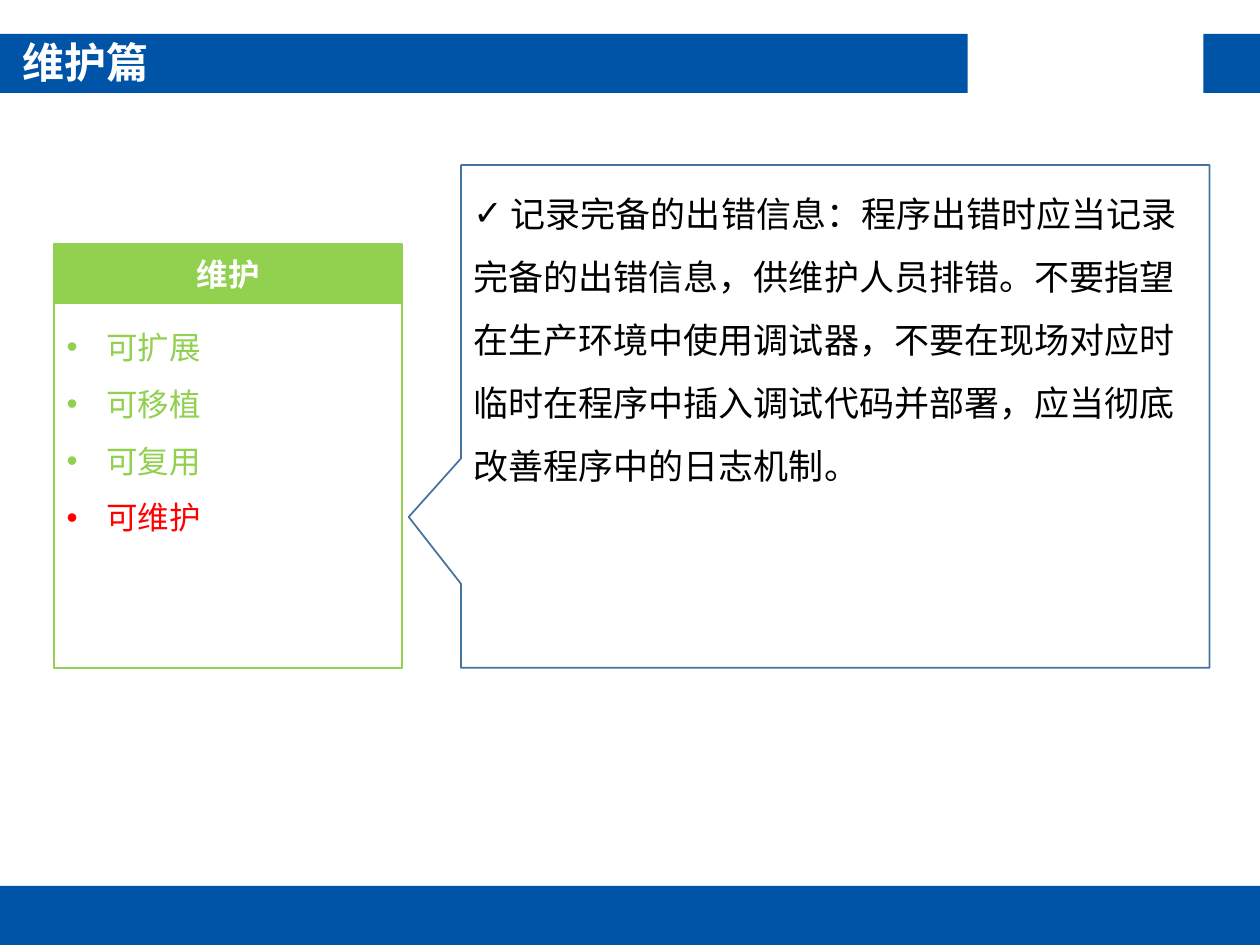
from pptx import Presentation
from pptx.dml.color import RGBColor
from pptx.enum.shapes import MSO_SHAPE as Shape
from pptx.enum.text import MSO_ANCHOR as Anchor, MSO_AUTO_SIZE as AutoSize, PP_ALIGN as Align
from pptx.oxml.ns import qn
from pptx.util import Pt
from lxml.etree import SubElement

THEME = {
    "font": "Noto Sans CJK SC",
    "blue": "0054A7", "green": "92D050", "red": "FF0000",
    "outline": "43739E", "white": "FFFFFF", "black": "000000",
    "title": 24, "body": 20, "label": 18,
}

TITLE = "维护篇"
HEADING = "维护"
QUALITIES = [("可扩展", "green"), ("可移植", "green"), ("可复用", "green"), ("可维护", "red")]
ADVICE = (
    " 记录完备的出错信息：程序出错时应当记录完备的出错信息，供维护人员排错。"
    "不要指望在生产环境中使用调试器，不要在现场对应时临时在程序中插入调试代码并部署，"
    "应当彻底改善程序中的日志机制。"
)

WIDTH, HEIGHT = 720, 540
BAR = 33.8
BANDS = [(-0.7, 19.4, 553.7), (687.6, 19.4, 32.4), (-0.7, HEIGHT - BAR, 720.7)]
CARD_LEFT, CARD_TOP, CARD_WIDTH, CARD_BOTTOM = 31, 139.4, 198.8, 381.6
CALLOUT_LEFT, CALLOUT_TOP, CALLOUT_WIDTH = 263.5, 94.3, 427.7
INDENT = 22.5


def color(name):
    return RGBColor.from_string(THEME[name])


def add_box(page, kind, left, top, width, height, fill=None, line=None):
    box = page.shapes.add_shape(kind, Pt(left), Pt(top), Pt(width), Pt(height))
    box.shadow.inherit = False
    if fill:
        box.fill.solid()
        box.fill.fore_color.rgb = color(fill)
    else:
        box.fill.background()
    if line:
        box.line.color.rgb = color(line)
        box.line.width = Pt(1)
    else:
        box.line.fill.background()
    box.text_frame.word_wrap = True
    return box


def style(para, size, tone, bold=False, align=Align.LEFT):
    para.alignment = align
    for span in para.runs:
        span.font.name = THEME["font"]
        span.font.size = Pt(THEME[size])
        span.font.bold = bold
        span.font.color.rgb = color(tone)
        SubElement(span.font._element, qn("a:ea"), typeface=THEME["font"])


def add_bullet(para, mark, indent=0):
    para.line_spacing = 1.5
    props = para._p.get_or_add_pPr()
    props.set("marL", str(Pt(indent)))
    props.set("indent", str(-Pt(indent)))
    SubElement(props, qn("a:buFont"), typeface="Arial")
    SubElement(props, qn("a:buChar"), char=mark)


def add_title(page):
    box = page.shapes.add_textbox(Pt(5.8), Pt(17.3), Pt(547.2), Pt(36))
    frame = box.text_frame
    frame.word_wrap = True
    frame.auto_size = AutoSize.SHAPE_TO_FIT_TEXT
    frame.text = TITLE
    para = frame.paragraphs[0]
    para.space_before = Pt(9)
    style(para, "title", "white", True, Align.JUSTIFY)


def add_callout(page):
    box = add_box(page, Shape.RECTANGULAR_CALLOUT, CALLOUT_LEFT, CALLOUT_TOP,
                  CALLOUT_WIDTH, CARD_BOTTOM - CALLOUT_TOP, "white", "outline")
    box.adjustments[0], box.adjustments[1] = -0.57, 0.2
    frame = box.text_frame
    frame.vertical_anchor = Anchor.TOP
    frame.text = ADVICE
    para = frame.paragraphs[0]
    style(para, "body", "black")
    add_bullet(para, "✓")


def add_card(page):
    header = add_box(page, Shape.RECTANGLE, CARD_LEFT, CARD_TOP, CARD_WIDTH, BAR, "green", "green")
    header.text_frame.vertical_anchor = Anchor.MIDDLE
    header.text_frame.text = HEADING
    style(header.text_frame.paragraphs[0], "label", "white", True, Align.CENTER)

    top = CARD_TOP + BAR
    panel = add_box(page, Shape.RECTANGLE, CARD_LEFT, top, CARD_WIDTH, CARD_BOTTOM - top, line="green")
    frame = panel.text_frame
    frame.vertical_anchor = Anchor.TOP
    frame.text = "\n".join(name for name, _ in QUALITIES)
    for para, (_, tone) in zip(frame.paragraphs, QUALITIES):
        style(para, "label", tone)
        add_bullet(para, "•", INDENT)


def main():
    deck = Presentation()
    deck.slide_width, deck.slide_height = Pt(WIDTH), Pt(HEIGHT)
    page = deck.slides.add_slide(deck.slide_layouts[6])
    for left, top, width in BANDS:
        add_box(page, Shape.RECTANGLE, left, top, width, BAR, "blue")
    add_title(page)
    add_callout(page)
    add_card(page)
    deck.save("out.pptx")


if __name__ == "__main__":
    main()
